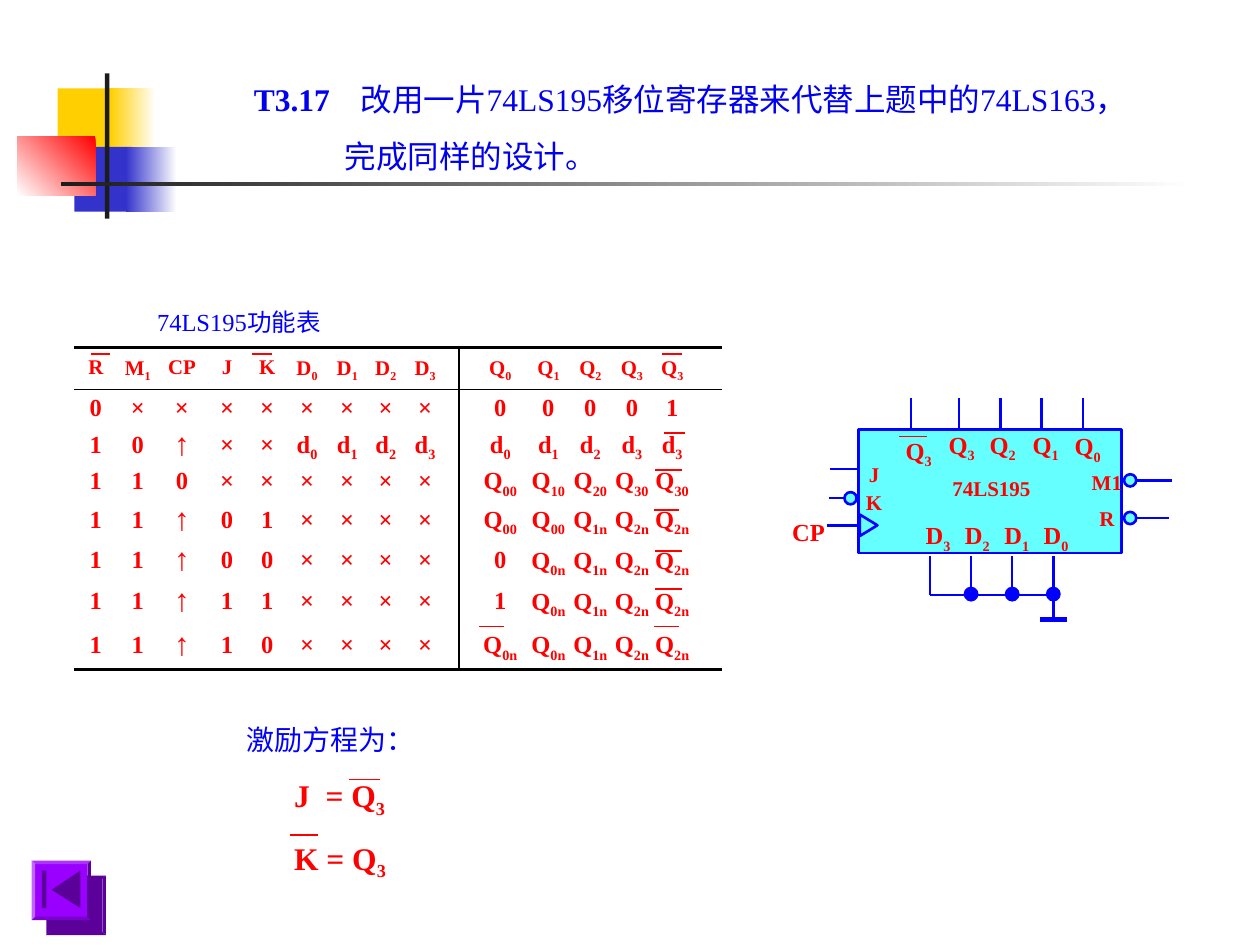
"""Build the slide on replacing a counter with a 74LS195 shift register."""
from lxml.etree import SubElement
from pptx import Presentation
from pptx.dml.color import RGBColor
from pptx.enum.shapes import MSO_CONNECTOR, MSO_SHAPE
from pptx.enum.text import MSO_ANCHOR, PP_ALIGN
from pptx.oxml.ns import qn
from pptx.util import Pt

BLUE = RGBColor(0x00, 0x00, 0xFF)
TITLE_BLUE = RGBColor(0x00, 0x00, 0xEE)
RED = RGBColor(0xFF, 0x00, 0x00)
CYAN = RGBColor(0x66, 0xFF, 0xFF)
BLACK = RGBColor(0x00, 0x00, 0x00)
WHITE = RGBColor(0xFF, 0xFF, 0xFF)
CHARCOAL = RGBColor(0x1C, 0x1C, 0x1C)
YELLOW = RGBColor(0xFF, 0xCF, 0x01)
INDIGO = RGBColor(0x33, 0x33, 0xCC)
VIOLET = RGBColor(0x99, 0x00, 0xFF)
DARK_VIOLET = RGBColor(0x5B, 0x00, 0x98)


def write(paragraph, text, size, color, bold=True):
    """Write text in which a piece between underscores is a subscript."""
    for index, piece in enumerate(text.split("_")):
        if piece:
            span = paragraph.add_run()
            span.text = piece
            if index % 2:
                span._r.get_or_add_rPr().set("baseline", "-25000")
    paragraph.font.name = "Times New Roman"
    paragraph.font.size = Pt(size)
    paragraph.font.bold = bold
    paragraph.font.color.rgb = color


def draw_line(left, top, right, bottom, color, width):
    """Draw a straight line without a shadow."""
    line = page.shapes.add_connector(
        MSO_CONNECTOR.STRAIGHT, Pt(left), Pt(top), Pt(right), Pt(bottom))
    line.line.color.rgb = color
    line.line.width = Pt(width)
    SubElement(line._element.spPr, qn("a:effectLst"))


deck = Presentation()
deck.slide_width, deck.slide_height = Pt(720), Pt(540)
page = deck.slides.add_slide(deck.slide_layouts[6])

# left, top, width, height, solid colour or gradient (start, end, angle)
decorations = [
    (33, 50.5, 35, 37.5, YELLOW),
    (63, 50.5, 26, 37.5, (WHITE, YELLOW, 180)),
    (42.5, 84, 33, 37, INDIGO),
    (72, 84, 29, 37, (WHITE, INDIGO, 180)),
    (10, 78, 44.5, 33.5, (RED, WHITE, 225)),
    (60, 42, 2.5, 83, CHARCOAL),
    (35, 104, 648, 2.5, (WHITE, CHARCOAL, 180)),
]
for left, top, width, height, paint in decorations:
    block = page.shapes.add_shape(
        MSO_SHAPE.RECTANGLE, Pt(left), Pt(top), Pt(width), Pt(height))
    block.shadow.inherit = False
    block.line.fill.background()
    if isinstance(paint, RGBColor):
        block.fill.solid()
        block.fill.fore_color.rgb = paint
    else:
        block.fill.gradient()
        block.fill.gradient_angle = paint[2]
        for position, stop in enumerate(block.fill.gradient_stops):
            stop.position = position
            stop.color.rgb = paint[position]

title = page.shapes.add_textbox(Pt(138), Pt(42), Pt(516), Pt(62)).text_frame
title.word_wrap = True
para = title.paragraphs[0]
tabs = SubElement(para._p.get_or_add_pPr(), qn("a:tabLst"))
SubElement(tabs, qn("a:tab"), pos=str(Pt(61)), algn="l")
number = para.add_run()
number.text = "T3.17\t"
number.font.bold = True
write(para, "改用一片74LS195移位寄存器来代替上题中的74LS163，", 18, TITLE_BLUE, False)
para = title.add_paragraph()
para._p.get_or_add_pPr().set("marL", str(Pt(52)))
para.space_before = Pt(11.2)
write(para, "完成同样的设计。", 18, TITLE_BLUE, False)

rows = [
    "R M_1_ CP J K D_0_ D_1_ D_2_ D_3_ Q_0_ Q_1_ Q_2_ Q_3_ Q_3_",
    "0 × × × × × × × × 0 0 0 0 1",
    "1 0 ↑ × × d_0_ d_1_ d_2_ d_3_ d_0_ d_1_ d_2_ d_3_ d_3_",
    "1 1 0 × × × × × × Q_00_ Q_10_ Q_20_ Q_30_ Q_30_",
    "1 1 ↑ 0 1 × × × × Q_00_ Q_00_ Q_1n_ Q_2n_ Q_2n_",
    "1 1 ↑ 0 0 × × × × 0 Q_0n_ Q_1n_ Q_2n_ Q_2n_",
    "1 1 ↑ 1 1 × × × × 1 Q_0n_ Q_1n_ Q_2n_ Q_2n_",
    "1 1 ↑ 1 0 × × × × Q_0n_ Q_0n_ Q_1n_ Q_2n_ Q_2n_",
]
row_heights = [24, 22, 20, 21.5, 23, 23.5, 23, 27]
column_widths = [24.5, 23.5, 27, 24.5, 21.5, 24, 22, 22, 31, 39, 24, 24, 23.5, 39.5]
left_margins = {9: 8}
right_margins = {8: 8, 13: 17}
table = page.shapes.add_table(
    len(rows), len(column_widths), Pt(42.5), Pt(198.7),
    Pt(sum(column_widths)), Pt(sum(row_heights))).table
table.first_row = table.horz_banding = False
for column, width in zip(table.columns, column_widths):
    column.width = Pt(width)
for row_index, (row, height) in enumerate(zip(rows, row_heights)):
    table.rows[row_index].height = Pt(height)
    for column_index, text in enumerate(row.split()):
        cell = table.cell(row_index, column_index)
        cell.margin_left = Pt(left_margins.get(column_index, 0))
        cell.margin_right = Pt(right_margins.get(column_index, 0))
        cell.margin_top = cell.margin_bottom = 0
        cell.vertical_anchor = MSO_ANCHOR.MIDDLE
        borders = {
            "a:lnL": 1 if column_index == 9 else 0,
            "a:lnR": 1 if column_index == 8 else 0,
            "a:lnT": {0: 2.25, 1: 1}.get(row_index, 0),
            "a:lnB": {0: 1, len(rows) - 1: 2.25}.get(row_index, 0),
        }
        for side, weight in borders.items():
            border = SubElement(cell._tc.get_or_add_tcPr(), qn(side), w=str(Pt(weight)))
            if weight:
                paint = SubElement(border, qn("a:solidFill"))
                SubElement(paint, qn("a:srgbClr"), val=str(BLACK))
            else:
                SubElement(border, qn("a:noFill"))
        cell.fill.background()
        para = cell.text_frame.paragraphs[0]
        para.alignment = PP_ALIGN.CENTER
        para.line_spacing = 0.9
        write(para, text, 18 if text == "↑" else 14 if row_index else 11.9, RED)

equations = page.shapes.add_textbox(Pt(134), Pt(409.5), Pt(138), Pt(98)).text_frame
equations.word_wrap = True
write(equations.paragraphs[0], "激励方程为：", 16, BLUE, False)
for equation in ("J  = Q_3_", "K = Q_3_"):
    para = equations.add_paragraph()
    para._p.get_or_add_pPr().set("marL", str(Pt(27)))
    para.space_before = Pt(11.2)
    write(para, equation, 18, RED)

bevel = page.shapes.add_shape(MSO_SHAPE.BEVEL, Pt(18), Pt(491.8), Pt(34), Pt(34))
bevel.adjustments[0] = 0.06
bevel.fill.solid()
bevel.fill.fore_color.rgb = VIOLET
bevel.line.fill.background()
effects = SubElement(bevel._element.spPr, qn("a:effectLst"))
shadow = SubElement(effects, qn("a:outerShdw"), dist=str(Pt(12.1)), dir="2700000",
                    algn="ctr", rotWithShape="0")
SubElement(shadow, qn("a:srgbClr"), val=str(DARK_VIOLET))
builder = page.shapes.build_freeform(Pt(29.5), Pt(508.5), 1)
builder.add_line_segments([(Pt(46), Pt(497.5)), (Pt(46), Pt(519))])
builder.move_to(Pt(24), Pt(497.5))
builder.add_line_segments(
    [(Pt(26.5), Pt(497.5)), (Pt(26.5), Pt(519)), (Pt(24), Pt(519))])
arrow = builder.convert_to_shape()
arrow.shadow.inherit = False
arrow.fill.solid()
arrow.fill.fore_color.rgb = DARK_VIOLET
arrow.line.fill.background()

top_pins = [520.5] + [548 + 23.6 * i for i in range(4)]
bottom_pins = [531.4 + 23.5 * i for i in range(4)]
wires = [(x, 227.5, x, 246) for x in top_pins]
wires += [(x, 317.5, x, 340) for x in bottom_pins[:3]]
wires += [
    (bottom_pins[3], 317.5, bottom_pins[3], 354), (bottom_pins[0], 340, bottom_pins[3], 340),
    (490.5, 268, 474.5, 268), (490.5, 284.5, 474, 284.5), (490.5, 300.3, 472.5, 300.3),
    (642, 274.5, 669.5, 274.5), (650, 296, 668, 296),
]
for wire in wires:
    draw_line(*wire, BLUE, 1.5)
draw_line(594, 354.2, 610, 354.2, BLUE, 3)

parts = [
    (MSO_SHAPE.RECTANGLE, 490.5, 245.5, 150.5, 70.5, 0, CYAN),
    (MSO_SHAPE.ISOSCELES_TRIANGLE, 490.3, 295.2, 12.2, 10, 90, CYAN),
    (MSO_SHAPE.OVAL, 482.5, 281.2, 7, 7, 0, CYAN),
    (MSO_SHAPE.OVAL, 642.3, 271, 7, 7, 0, CYAN),
    (MSO_SHAPE.OVAL, 642.3, 292.5, 7, 7, 0, CYAN),
]
parts += [(MSO_SHAPE.OVAL, x - 3.5, 336, 7, 7, 0, BLUE) for x in bottom_pins[1:]]
for kind, left, top, width, height, rotation, color in parts:
    part = page.shapes.add_shape(kind, Pt(left), Pt(top), Pt(width), Pt(height))
    part.rotation = rotation
    part.shadow.inherit = False
    part.fill.solid()
    part.fill.fore_color.rgb = color
    part.line.color.rgb = BLUE
    part.line.width = Pt(1.5)

# centre, top, text, size, colour, bold
labels = [
    (136.5, 172, "74LS195功能表", 14, BLUE, False),
    (566.5, 268, "74LS195", 12, RED, True),
    (525, 245.5, "Q_3_", 14, RED, True), (549.5, 242, "Q_3_", 14, RED, True),
    (573, 242, "Q_2_", 14, RED, True), (597.5, 242, "Q_1_", 14, RED, True),
    (621.5, 243, "Q_0_", 14, RED, True),
    (499.5, 260, "J", 12, RED, True), (499.5, 276, "K", 12, RED, True),
    (632.5, 265, "M1", 12, RED, True), (632.5, 285.5, "R", 12, RED, True),
    (462, 291.6, "CP", 14, RED, True),
]
labels += [(536 + 22.5 * i, 293.8, f"D_{3 - i}_", 14, RED, True) for i in range(4)]
for center, top, text, size, color, bold in labels:
    width = 132 if len(text) > 6 else 40
    box = page.shapes.add_textbox(Pt(center - width / 2), Pt(top), Pt(width), Pt(size + 10))
    box.text_frame.word_wrap = True
    para = box.text_frame.paragraphs[0]
    para.alignment = PP_ALIGN.CENTER
    write(para, text, size, color, bold)

overbars = [
    (52, 63, 202.5), (144, 155.5, 202.5), (378, 390, 202.5), (379.5, 391.5, 247.5),
    (374.5, 389.5, 268.5), (373.5, 388, 291.5), (374.5, 389.5, 315), (374.5, 389.5, 336.5),
    (373.5, 388, 358), (273.5, 288, 358), (199.5, 217, 445.5), (165.5, 182, 477),
    (514, 530, 249.5),
]
for left, right, height in overbars:
    draw_line(left, height, right, height, RED, 1)

deck.save("out.pptx")
